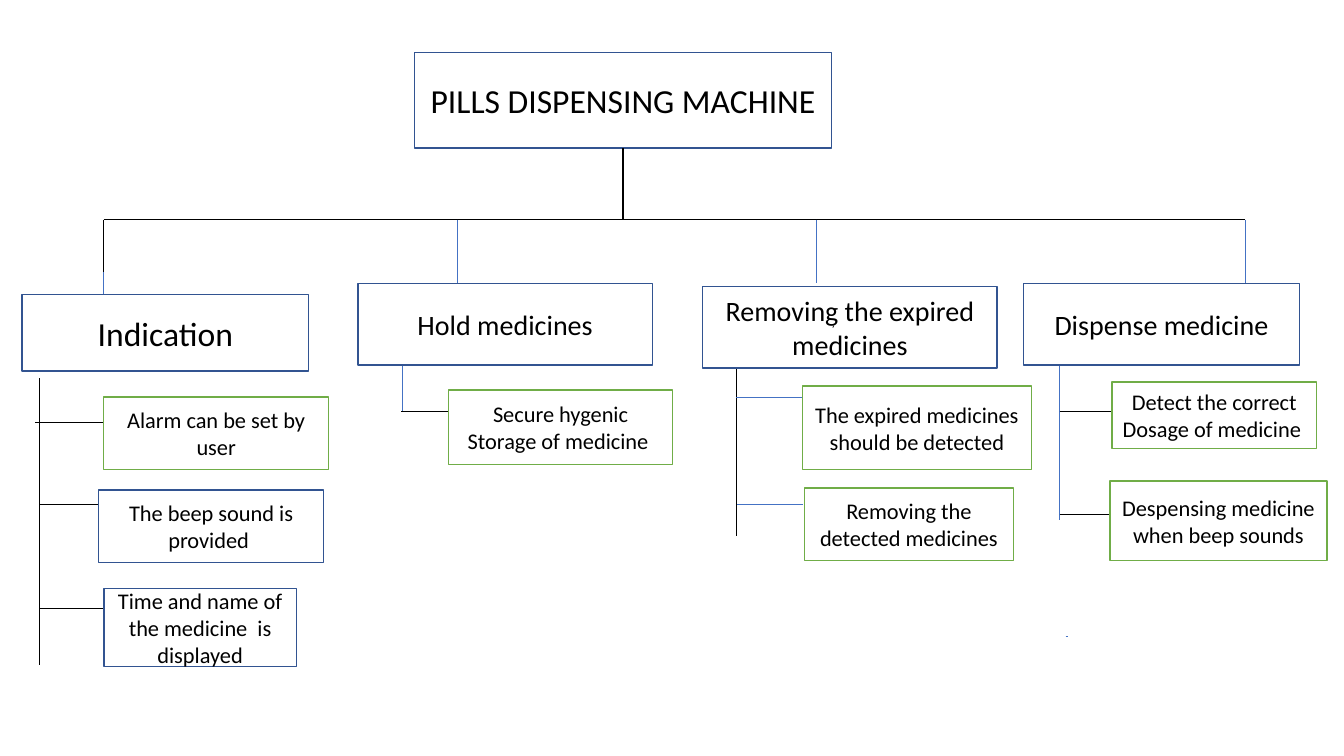
from lxml.etree import SubElement
from pptx import Presentation
from pptx.dml.color import RGBColor
from pptx.enum.shapes import MSO_CONNECTOR, MSO_SHAPE
from pptx.enum.text import MSO_ANCHOR, MSO_AUTO_SIZE, PP_ALIGN
from pptx.oxml.ns import qn
from pptx.util import Inches, Pt

NAVY, BLUE, GREEN, BLACK, WHITE = "325491", "4472C4", "70AD47", "000000", "FFFFFF"
BUS_TOP = 2.18

# Functions: left, top, width, height, text, size
FUNCTIONS = [
    (0.22, 2.92, 2.84, 0.76, "Indication", 24),
    (3.55, 2.81, 2.92, 0.81, "Hold medicines", 20),
    (6.97, 2.84, 2.92, 0.81, "Removing the expired medicines", 20),
    (10.15, 2.81, 2.74, 0.81, "Dispense medicine", 20),
]

# Details: left, top, width, height, text, border
DETAILS = [
    (1.03, 3.94, 2.23, 0.72, "Alarm can be set by user", GREEN),
    (0.98, 4.86, 2.23, 0.72, "The beep sound is\nprovided ", NAVY),
    (1.03, 5.84, 1.91, 0.77, "Time and name of the medicine  is displayed", NAVY),
    (4.45, 3.87, 2.22, 0.74, "Secure hygenic\nStorage of medicine ", GREEN),
    (7.96, 3.83, 2.27, 0.83, "The expired medicines should be detected", GREEN),
    (7.98, 4.84, 2.07, 0.72, "Removing the detected medicines", GREEN),
    (11.03, 3.79, 2.03, 0.66, "Detect the correct\nDosage of medicine ", GREEN),
    (11.01, 4.77, 2.15, 0.79, "Despensing medicine when beep sounds", GREEN),
]

# Drops from the bus: x, top, bottom, colour
DROPS = [
    (1.03, BUS_TOP, 2.7, BLACK),
    (1.03, 2.7, 2.92, BLUE),
    (4.54, BUS_TOP, 2.81, BLUE),
    (8.1, BUS_TOP, 2.81, BLUE),
    (12.35, BUS_TOP, 2.81, BLUE),
]

# Trunks: x, top, bottom, colour, then branches as start, end, y, colour
TRUNKS = [
    (0.39, 3.75, 6.6, BLACK, [(0.35, 1.03, 4.19, BLACK), (0.39, 1.03, 5, BLACK),
                              (0.39, 1.13, 6.04, BLACK)]),
    (3.99, 3.62, 4.08, BLUE, [(3.98, 4.45, 4.08, BLACK)]),
    (7.3, 3.63, 5.32, BLACK, [(7.3, 7.98, 3.94, BLUE), (7.31, 7.96, 5, BLUE)]),
    (10.51, 3.62, 5.16, BLUE, [(10.51, 11.04, 4.08, BLACK),
                               (10.51, 11.03, 5.1, BLACK)]),
]


def color(value):
    return RGBColor.from_string(value)


def style_box(box, text, size, border):
    box.fill.solid()
    box.fill.fore_color.rgb = color(WHITE)
    box.line.color.rgb = color(border)
    box.line.width = Pt(1)
    frame = box.text_frame
    frame.text = text
    frame.word_wrap = True
    frame.auto_size = MSO_AUTO_SIZE.NONE
    frame.vertical_anchor = MSO_ANCHOR.MIDDLE
    for para in frame.paragraphs:
        para.alignment = PP_ALIGN.CENTER
        for span in para.runs:
            span.font.name = "Calibri"
            span.font.size = Pt(size)
            span.font.color.rgb = color(BLACK)


def add_title(page, left, top, width, height, text):
    title = page.shapes.title
    title.left, title.top = Inches(left), Inches(top)
    title.width, title.height = Inches(width), Inches(height)
    style_box(title, text, 24, NAVY)


def add_box(page, left, top, width, height, text, size, border):
    box = page.shapes.add_shape(MSO_SHAPE.RECTANGLE, Inches(left), Inches(top),
                                Inches(width), Inches(height))
    box.shadow.inherit = False
    style_box(box, text, size, border)


def add_line(page, x1, y1, x2, y2, stroke, weight=0.5):
    line = page.shapes.add_connector(MSO_CONNECTOR.STRAIGHT, Inches(x1), Inches(y1),
                                     Inches(x2), Inches(y2))
    line.line.color.rgb = color(stroke)
    line.line.width = Pt(weight)
    SubElement(line._element.spPr, qn("a:effectLst"))


def main():
    deck = Presentation()
    deck.slide_width, deck.slide_height = Inches(13.33), Inches(7.5)
    page = deck.slides.add_slide(deck.slide_layouts[5])

    # Root of the tree
    add_title(page, 4.11, 0.52, 4.14, 0.95, "PILLS DISPENSING MACHINE")
    add_line(page, 6.18, 1.47, 6.18, BUS_TOP, BLACK, 1)
    add_line(page, 1.03, BUS_TOP, 12.35, BUS_TOP, BLACK, 1)

    # Lines to functions and details
    for x, top, bottom, stroke in DROPS:
        add_line(page, x, top, x, bottom, stroke)
    for x, top, bottom, stroke, branches in TRUNKS:
        add_line(page, x, top, x, bottom, stroke)
        for start, end, y, branch_stroke in branches:
            add_line(page, start, y, end, y, branch_stroke)

    # Boxes
    for function in FUNCTIONS:
        add_box(page, *function, NAVY)
    for left, top, width, height, text, border in DETAILS:
        add_box(page, left, top, width, height, text, 16, border)

    # Small stray ticks
    add_line(page, 8.26, 3.25, 8.27, 3.23, BLACK)
    add_line(page, 10.57, 6.31, 10.59, 6.31, BLUE)

    deck.save("out.pptx")


main()
